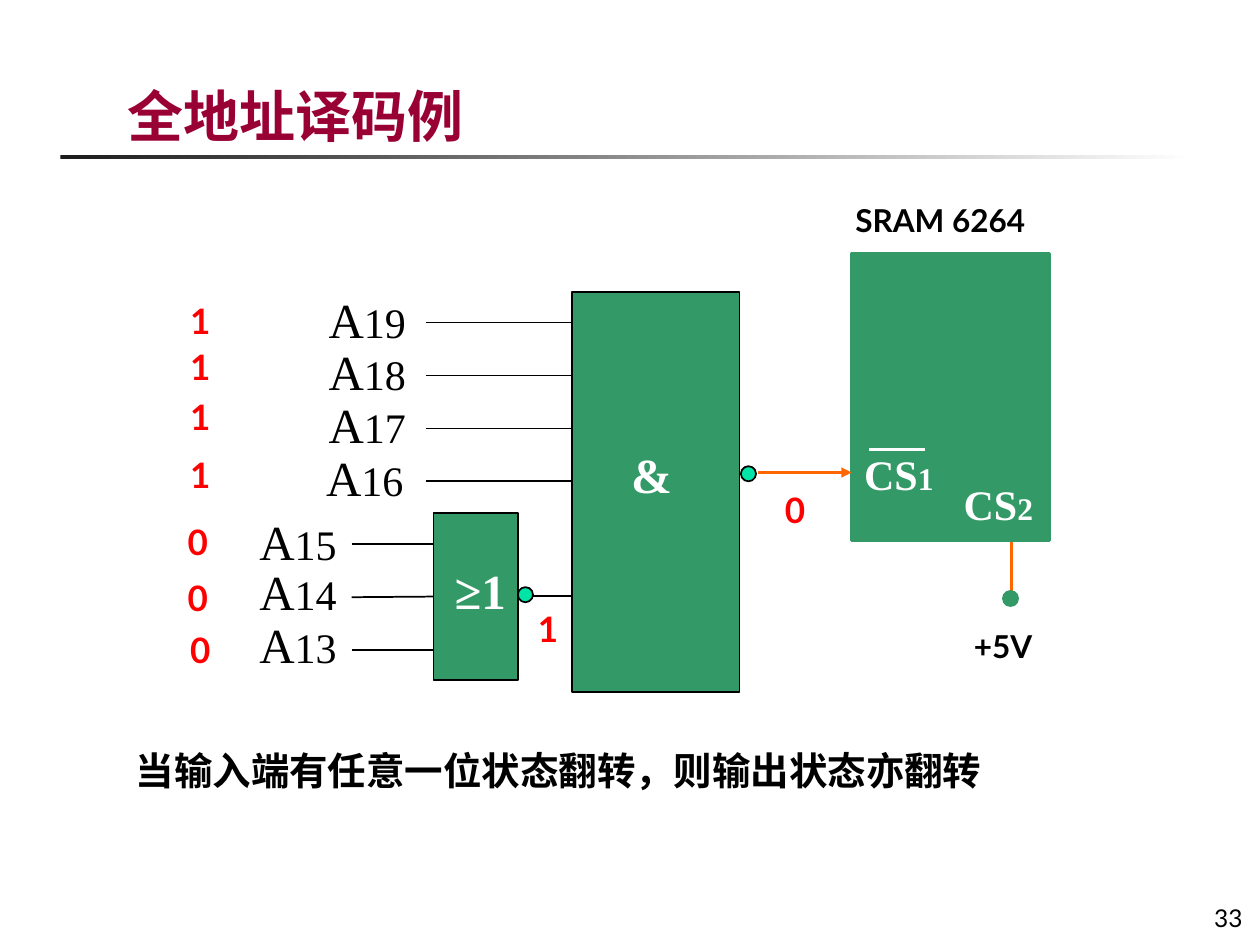
from dataclasses import dataclass

from lxml.etree import SubElement
from pptx import Presentation
from pptx.dml.color import RGBColor
from pptx.enum.shapes import MSO_CONNECTOR as Connector, MSO_SHAPE as Shape
from pptx.enum.text import MSO_ANCHOR as Anchor, PP_ALIGN as Align
from pptx.oxml.ns import qn
from pptx.util import Inches, Pt


@dataclass(frozen=True)
class Theme:
    black: str = "000000"
    white: str = "FFFFFF"
    green: str = "339966"
    bubble: str = "00E4A8"
    orange: str = "FF6600"
    red: str = "FF0000"
    title_color: str = "990033"
    rule_start: str = "1C1C1C"
    latin: str = "Lato"
    serif: str = "Times New Roman"
    chinese: str = "Noto Sans CJK SC"
    title_size: int = 32
    signal_size: int = 28
    pin_size: int = 24
    note_size: int = 22
    bit_size: int = 20
    label_size: int = 18
    number_size: int = 14
    thin: float = 1
    thick: float = 1.75


class SlideBuilder:
    def __init__(self, slide, theme):
        self.slide = slide
        self.theme = theme

    def add_runs(self, frame, parts, font, color, bold=False, align=Align.LEFT):
        """Fill the first paragraph with runs given as (text, size) pairs."""
        frame.word_wrap = True
        paragraph = frame.paragraphs[0]
        paragraph.alignment = align
        for text, size in parts:
            run = paragraph.add_run()
            run.text = text
            run.font.name = font
            run.font.size = Pt(size)
            run.font.bold = bold
            run.font.color.rgb = RGBColor.from_string(color)
            if font == self.theme.chinese:
                SubElement(run._r.get_or_add_rPr(), qn("a:ea"), typeface=font)

    def title(self, text, left, top, width, height):
        theme = self.theme
        shape = self.slide.shapes.title
        shape.left, shape.top = Inches(left), Inches(top)
        shape.width, shape.height = Inches(width), Inches(height)
        shape.text_frame.vertical_anchor = Anchor.BOTTOM
        self.add_runs(shape.text_frame, [(text, theme.title_size)],
                      theme.chinese, theme.title_color, bold=True)

    def text(self, parts, left, top, width, height, font, color,
             bold=False, align=Align.LEFT, anchor=Anchor.TOP):
        box = self.slide.shapes.add_textbox(
            Inches(left), Inches(top), Inches(width), Inches(height))
        box.text_frame.vertical_anchor = anchor
        self.add_runs(box.text_frame, parts, font, color, bold, align)

    def shape(self, kind, left, top, width, height, fill, line, weight):
        shape = self.slide.shapes.add_shape(
            kind, Inches(left), Inches(top), Inches(width), Inches(height))
        shape.shadow.inherit = False
        shape.fill.solid()
        shape.fill.fore_color.rgb = RGBColor.from_string(fill)
        shape.line.color.rgb = RGBColor.from_string(line)
        shape.line.width = Pt(weight)
        return shape

    def block(self, left, top, width, height, line, weight):
        return self.shape(Shape.RECTANGLE, left, top, width, height,
                          self.theme.green, line, weight)

    def dot(self, left, top, fill, line):
        self.shape(Shape.OVAL, left, top, 0.12, 0.12, fill, line, self.theme.thin)

    def gradient_rule(self, left, top, width, height):
        theme = self.theme
        rule = self.slide.shapes.add_shape(
            Shape.RECTANGLE, Inches(left), Inches(top), Inches(width), Inches(height))
        rule.shadow.inherit = False
        rule.line.fill.background()
        rule.fill.gradient()
        rule.fill.gradient_angle = 0
        for stop, color in zip(rule.fill.gradient_stops, (theme.rule_start, theme.white)):
            stop.color.rgb = RGBColor.from_string(color)

    def line(self, x1, y1, x2, y2, color, weight, arrow=False):
        connector = self.slide.shapes.add_connector(
            Connector.STRAIGHT, Inches(x1), Inches(y1), Inches(x2), Inches(y2))
        connector.line.color.rgb = RGBColor.from_string(color)
        connector.line.width = Pt(weight)
        if arrow:
            SubElement(connector.line._get_or_add_ln(), qn("a:tailEnd"), type="triangle")
        SubElement(connector._element.spPr, qn("a:effectLst"))
        return connector

    def wire(self, x1, x2, y):
        return self.line(x1, y, x2, y, self.theme.black, self.theme.thin)

    def address(self, number, left, top):
        theme = self.theme
        self.text([("A", theme.signal_size), (number, theme.pin_size)],
                  left, top, 1, 0.57, theme.serif, theme.black)

    def bit(self, value, left, top):
        theme = self.theme
        self.text([(value, theme.bit_size)], left, top, 0.39, 0.43,
                  theme.latin, theme.red, bold=True)

    def gate_symbol(self, symbol, left, top):
        theme = self.theme
        self.text([(symbol, theme.signal_size)], left, top, 0.75, 0.57,
                  theme.serif, theme.white, bold=True)

    def chip_pin(self, number, left, top):
        theme = self.theme
        self.text([("CS", theme.pin_size), (number, theme.label_size)],
                  left, top, 0.94, 0.5, theme.serif, theme.white, bold=True)

    def label(self, text, left, top, width):
        theme = self.theme
        self.text([(text, theme.label_size)], left, top, width, 0.4,
                  theme.latin, theme.black, bold=True)


def main():
    presentation = Presentation()
    presentation.slide_width, presentation.slide_height = Inches(10), Inches(7.5)
    theme = Theme()
    slide = presentation.slides.add_slide(presentation.slide_layouts[5])
    builder = SlideBuilder(slide, theme)

    builder.gradient_rule(0.48, 1.23, 9, 0.03)
    builder.title("全地址译码例", 0.91, 0.23, 7.99, 1)

    # Memory chip and gates
    builder.block(6.76, 2.01, 1.57, 2.28, theme.green, theme.thick)
    builder.block(4.54, 2.32, 1.33, 3.17, theme.black, theme.thin)
    or_gate = builder.block(3.44, 4.07, 0.67, 1.33, theme.black, theme.thin)
    builder.gate_symbol("&", 4.91, 3.48)
    builder.gate_symbol("≥1", 3.51, 4.4)

    # Inputs: number, label left, label top, bit left, bit top
    pitch = 0.42
    and_inputs = [("19", 2.51, 2.25, 1.41, 2.33), ("18", 2.51, 2.66, 1.41, 2.69),
                  ("17", 2.51, 3.08, 1.41, 3.09), ("16", 2.49, 3.5, 1.41, 3.55)]
    or_inputs = [("15", 1.96, 4.01, 1.39, 4.08), ("14", 1.96, 4.41, 1.39, 4.53),
                 ("13", 1.96, 4.83, 1.41, 4.94)]
    groups = [(and_inputs, "1", 3.38, 4.54, 2.56), (or_inputs, "0", 2.79, 3.44, 4.32)]
    for inputs, value, start, end, first_y in groups:
        for row, (number, left, top, bit_left, bit_top) in enumerate(inputs):
            wire = builder.wire(start, end, first_y + row * pitch)
            if number == "14":
                wire.end_connect(or_gate, 1)
            builder.address(number, left, top)
            builder.bit(value, bit_left, bit_top)

    # Gate outputs
    builder.wire(4.21, 4.54, 4.73)
    builder.dot(4.11, 4.66, theme.bubble, theme.black)
    builder.bit("1", 4.17, 4.77)
    builder.dot(5.88, 3.7, theme.bubble, theme.black)
    builder.line(6.02, 3.75, 6.76, 3.75, theme.orange, theme.thick, arrow=True)
    builder.bit("0", 6.13, 3.83)

    # Chip pins and supply
    builder.label("SRAM 6264", 6.69, 1.55, 1.65)
    builder.chip_pin("1", 6.76, 3.51)
    builder.line(6.9, 3.57, 7.34, 3.57, theme.white, theme.thick)
    builder.chip_pin("2", 7.55, 3.75)
    builder.line(8.03, 4.3, 8.03, 4.77, theme.orange, theme.thick)
    builder.dot(7.96, 4.69, theme.green, theme.green)
    builder.label("+5V", 7.63, 4.93, 1.02)

    builder.text([("当输入端有任意一位状态翻转，则输出状态亦翻转", theme.note_size)],
                 0.98, 5.88, 7.02, 0.47, theme.chinese, theme.black, bold=True)
    builder.text([("33", theme.number_size)], 9.27, 6.95, 0.69, 0.5,
                 theme.latin, theme.black, align=Align.RIGHT, anchor=Anchor.BOTTOM)

    presentation.save("out.pptx")


if __name__ == "__main__":
    main()
